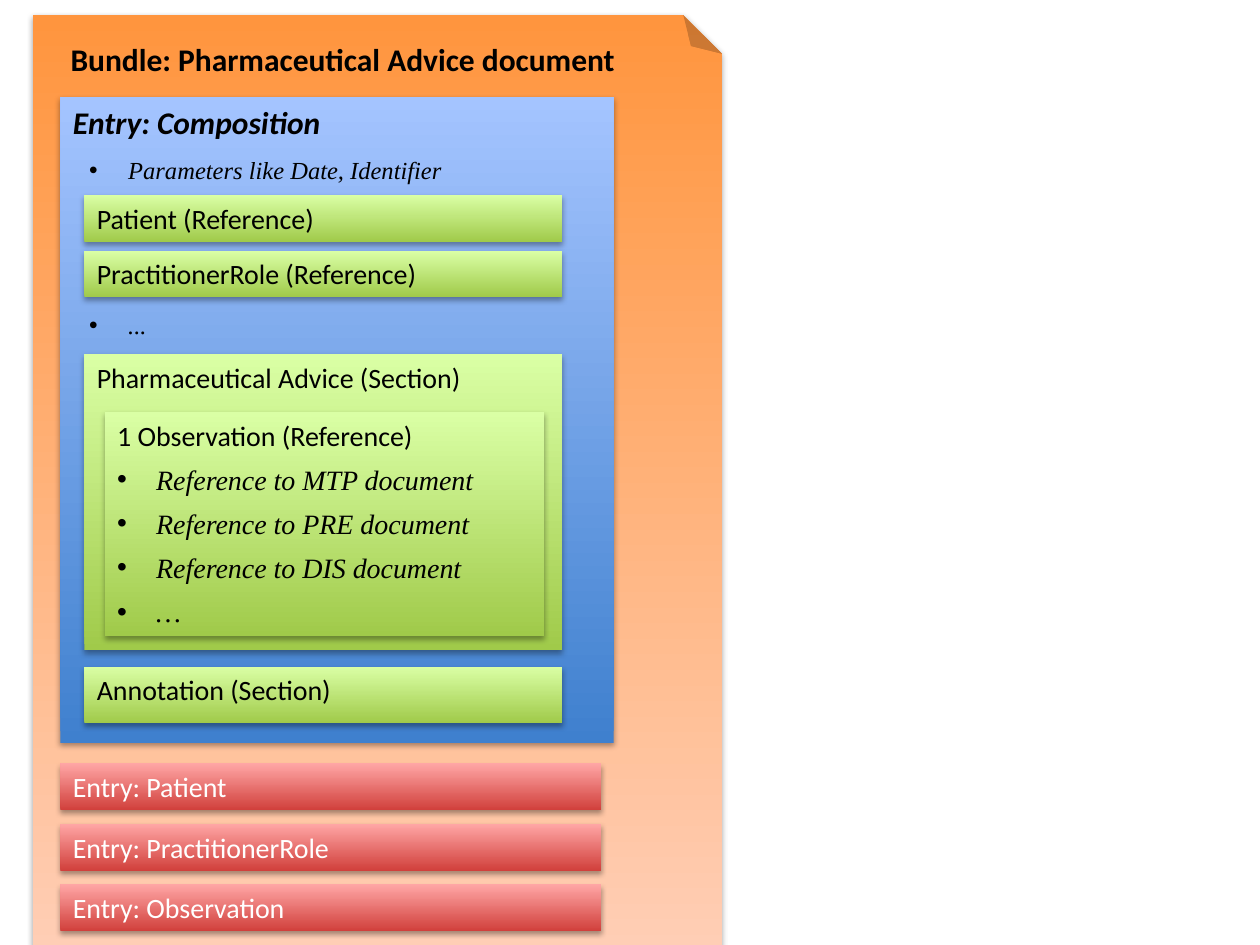
"""Build a slide showing the nested structure of a Pharmaceutical Advice bundle."""
from dataclasses import dataclass

from lxml.etree import SubElement
from pptx import Presentation
from pptx.dml.color import RGBColor
from pptx.enum.shapes import MSO_SHAPE
from pptx.enum.text import MSO_ANCHOR, MSO_AUTO_SIZE, PP_ALIGN
from pptx.oxml.ns import qn
from pptx.util import Inches, Pt


@dataclass(frozen=True)
class Style:
    font: str = "Calibri"
    size: int = 16
    color: str = "000000"
    bold: bool = False
    italic: bool = False
    bullet: bool = False
    spacing: int = 3


class Theme:
    orange = ("FF953E", "FFD2BD")
    blue = ("3F80CE", "A4C4FF")
    green = ("A0CA4A", "DAFFA5")
    red = ("D1403C", "FFA6A5")
    title = Style(size=18, bold=True, spacing=0)
    composition = Style(size=18, bold=True, italic=True, spacing=0)
    label = Style()
    entry = Style(color="FFFFFF")
    parameter = Style("Times New Roman", 14, italic=True, bullet=True, spacing=0)
    reference = Style("Times New Roman", italic=True, bullet=True)


presentation = Presentation()
presentation.slide_width, presentation.slide_height = Inches(10), Inches(7.5)
slide = presentation.slides.add_slide(presentation.slide_layouts[1])
shapes = slide.shapes
column = presentation.slide_width / 100
row = presentation.slide_height / 75


def arrange(shape, bounds, gradient=None):
    left, top, width, height = bounds
    shape.left, shape.width = round(left * column), round(width * column)
    shape.top, shape.height = round(top * row), round(height * row)
    shape.element.getparent().append(shape.element)
    if gradient:
        shape.fill.gradient()
        shape.fill.gradient_angle = 90
        for stop, color in zip(shape.fill.gradient_stops, gradient):
            stop.color.rgb = RGBColor.from_string(color)
        shape.line.fill.background()
        shape.shadow.inherit = False
        effects = shape.element.spPr.find(qn("a:effectLst"))
        shadow = SubElement(effects, qn("a:outerShdw"), blurRad="40000", dist="23000",
                            dir="5400000", rotWithShape="0")
        black = SubElement(shadow, qn("a:srgbClr"), val="000000")
        SubElement(black, qn("a:alpha"), val="35000")
    return shape


def write(shape, lines):
    frame = shape.text_frame
    frame.text = "\n".join(text for text, style in lines)
    frame.word_wrap = True
    frame.auto_size = MSO_AUTO_SIZE.NONE
    frame.vertical_anchor = MSO_ANCHOR.TOP
    for paragraph, (text, style) in zip(frame.paragraphs, lines):
        paragraph.alignment = PP_ALIGN.LEFT
        paragraph.space_before = paragraph.space_after = Pt(style.spacing)
        properties = paragraph._p.get_or_add_pPr()
        indent = Inches(0.31) if style.bullet else 0
        properties.set("marL", str(int(indent)))
        properties.set("indent", str(-int(indent)))
        if style.bullet:
            SubElement(properties, qn("a:buFont"), typeface="Arial")
            SubElement(properties, qn("a:buChar"), char="•")
        else:
            SubElement(properties, qn("a:buNone"))
        for run in paragraph.runs:
            run.font.name, run.font.size = style.font, Pt(style.size)
            run.font.bold, run.font.italic = style.bold, style.italic
            run.font.color.rgb = RGBColor.from_string(style.color)


bundle = shapes.add_shape(MSO_SHAPE.FOLDED_CORNER, 0, 0, 0, 0)
arrange(bundle, (2.6, 1.2, 54.7, 79.2), Theme.orange)
geometry = bundle.element.spPr.find(qn("a:prstGeom"))
SubElement(geometry.get_or_add_avLst(), qn("a:gd"), name="adj", fmla="val 5600")
bundle.element.spPr.find(qn("a:xfrm")).set("flipV", "1")

write(arrange(shapes.title, (4.6, 2.7, 50.3, 4)),
      [("Bundle: Pharmaceutical Advice document", Theme.title)])

section_left, section_width, bar_height = 6.7, 37.9, 3.7
panels = [
    ("Entry: Composition", (4.8, 7.7, 43.9, 51.3), Theme.blue, Theme.composition),
    ("Pharmaceutical Advice (Section)", (section_left, 28.1, section_width, 23.5),
     Theme.green, Theme.label),
    ("Annotation (Section)", (section_left, 52.9, section_width, 4.5),
     Theme.green, Theme.label),
]
for index, name in enumerate(["Patient", "PractitionerRole"]):
    bounds = (section_left, 15.5 + 4.4 * index, section_width, bar_height)
    panels.append((f"{name} (Reference)", bounds, Theme.green, Theme.label))
for index, name in enumerate(["Patient", "PractitionerRole", "Observation"]):
    bounds = (4.8, 60.6 + 4.8 * index, 42.9, bar_height)
    panels.append((f"Entry: {name}", bounds, Theme.red, Theme.entry))

for text, bounds, gradient, style in panels:
    panel = shapes.add_shape(MSO_SHAPE.RECTANGLE, 0, 0, 0, 0)
    write(arrange(panel, bounds, gradient), [(text, style)])

for text, top in [("Parameters like Date, Identifier", 11.8), ("...", 24.1)]:
    parameter = shapes.add_textbox(0, 0, 0, 0)
    write(arrange(parameter, (6.1, top, 36.3, 5.7)), [(text, Theme.parameter)])

observation_lines = [("1 Observation (Reference)", Theme.label)]
for document in ["MTP", "PRE", "DIS"]:
    observation_lines.append((f"Reference to {document} document", Theme.reference))
observation_lines.append(("…", Theme.reference))
observation = arrange(slide.placeholders[1], (8.3, 32.7, 34.9, 17.8), Theme.green)
write(observation, observation_lines)

presentation.save("out.pptx")
